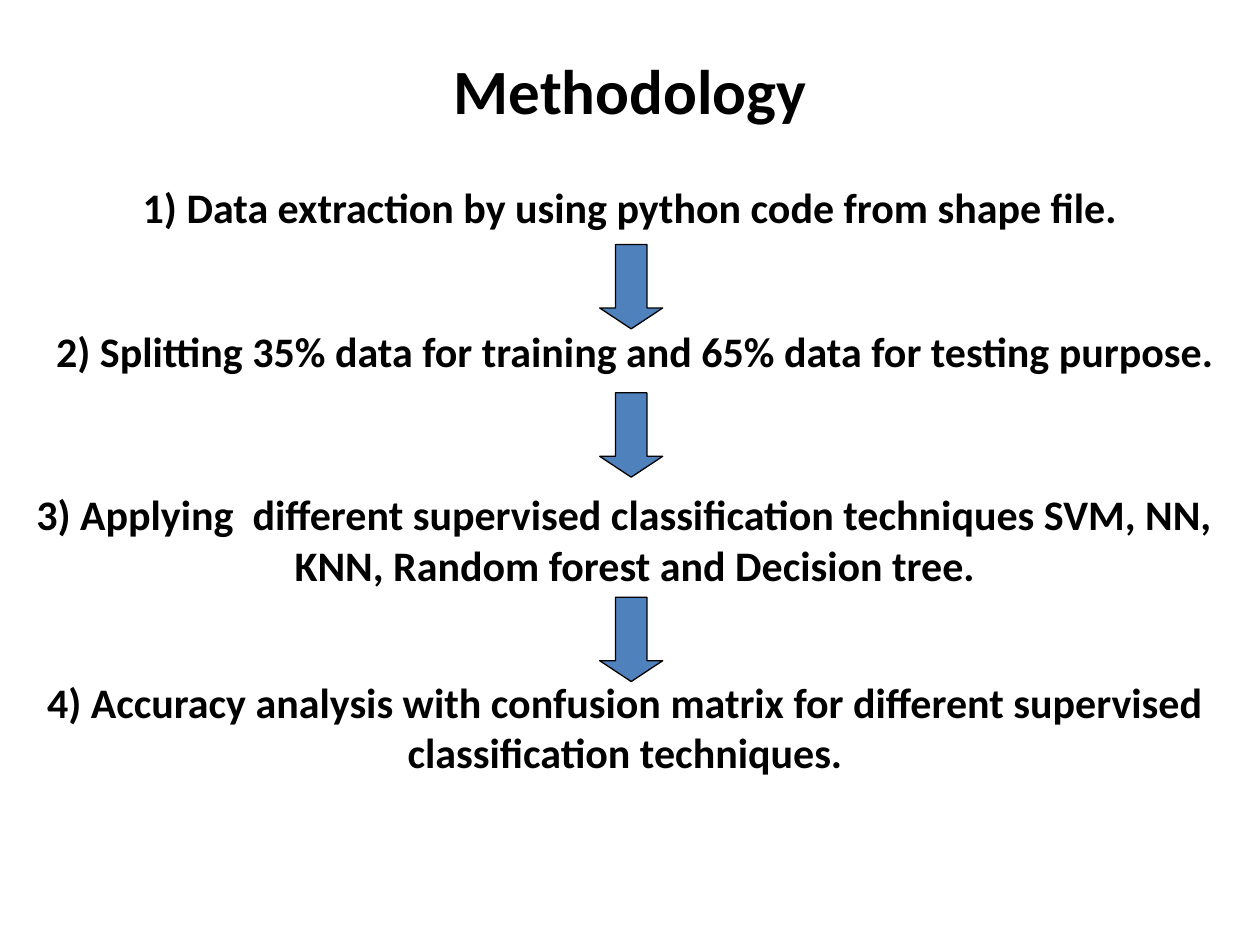
from pptx import Presentation
from pptx.dml.color import RGBColor
from pptx.enum.shapes import MSO_SHAPE as Shape
from pptx.enum.text import MSO_ANCHOR as Anchor, MSO_AUTO_SIZE as Fit, PP_ALIGN as Align
from pptx.util import Cm, Pt


def hue(code):
    return RGBColor.from_string(code)


class Deck:
    font = "Calibri"
    ink = "000000"
    blue = "4F81BD"

    def __init__(self, wide, high):
        self.prs = Presentation()
        self.prs.slide_width = Cm(wide)
        self.prs.slide_height = Cm(high)
        self.wide = wide
        self.slide = self.prs.slides.add_slide(self.prs.slide_layouts[5])

    def label(self, frame, text, size):
        frame.word_wrap = True
        frame.auto_size = Fit.NONE
        frame.vertical_anchor = Anchor.TOP
        para = frame.paragraphs[0]
        para.alignment = Align.CENTER
        run = para.add_run()
        run.text = text
        run.font.name = self.font
        run.font.size = Pt(size)
        run.font.bold = True
        run.font.color.rgb = hue(self.ink)

    def title(self, text, top, high):
        box = self.slide.shapes.title
        box.left, box.top = Cm(0), Cm(top)
        box.width, box.height = Cm(self.wide), Cm(high)
        self.label(box.text_frame, text, 36)

    def step(self, text, left, top):
        box = self.slide.shapes.add_textbox(Cm(left), Cm(top), Cm(self.wide), Cm(2.31))
        self.label(box.text_frame, text, 24)

    def arrow(self, top):
        shape = self.slide.shapes.add_shape(
            Shape.DOWN_ARROW, Cm(12.09), Cm(top), Cm(1.27), Cm(1.7))
        shape.adjustments[0] = 0.5
        shape.adjustments[1] = 0.33
        shape.shadow.inherit = False
        shape.fill.solid()
        shape.fill.fore_color.rgb = hue(self.blue)
        shape.line.color.rgb = hue(self.ink)
        shape.line.width = Pt(0.75)


STEPS = [
    ("1) Data extraction by using python code from shape file.", 0, 3.53),
    ("2) Splitting 35% data for training and 65% data for testing purpose.", 0.1, 6.43),
    ("3) Applying  different supervised classification techniques SVM, NN, "
     "\tKNN, Random forest and Decision tree.", 0.1, 9.73),
    ("4) Accuracy analysis with confusion matrix for different supervised "
     "classification techniques.", -0.1, 13.51),
]
ARROWS = [4.93, 7.92, 12.04]


def main():
    deck = Deck(25.4, 19.05)
    deck.title("Methodology", 0.91, 2.54)
    for text, left, top in STEPS:
        deck.step(text, left, top)
    for top in ARROWS:
        deck.arrow(top)
    deck.prs.save("out.pptx")


if __name__ == "__main__":
    main()
